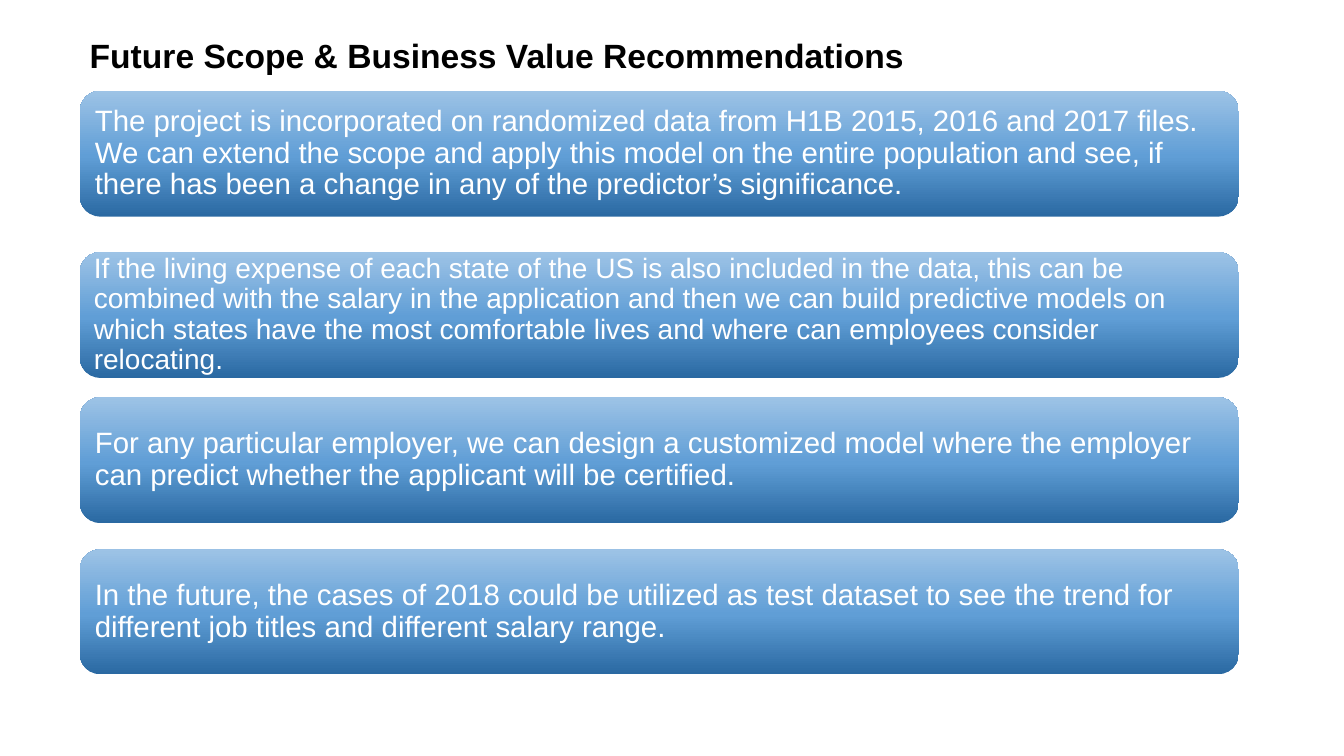
from copy import deepcopy

from pptx import Presentation
from pptx import util as u
from pptx.dml.color import RGBColor
from pptx.enum import shapes, text

COLORS = {"title": "000000", "text": "FFFFFF",
          "dark": "2A69A2", "mid": "609ED6", "light": "9DC3E6"}
GRADIENT = [(0, "dark"), (0.48, "mid"), (1, "light")]
FONT = "Arial"
COLS, ROWS = 160, 90
LEFT, CARD_WIDTH = 9.48, 138

# Top row, height in rows, text size, inset in inches, wording
CARDS = [
    (10.8, 15, 21, 0.09,
     "The project is incorporated on randomized data from H1B 2015, 2016 and 2017 files. "
     "We can extend the scope and apply this model on the entire population and see, if "
     "there has been a change in any of the predictor’s significance."),
    (30, 15, 20, 0.08,
     "If the living expense of each state of the US is also included in the data, this can be "
     "combined with the salary in the application and then we can build predictive models on "
     "which states have the most comfortable lives and where can employees consider relocating."),
    (47.28, 15, 21, 0.09,
     "For any particular employer, we can design a customized model where the employer "
     "can predict whether the applicant will be certified."),
    (65.4, 14.88, 21, 0.09,
     "In the future, the cases of 2018 could be utilized as test dataset to see the trend for "
     "different job titles and different salary range."),
]


class Deck:
    """Holds the style and the current slide."""

    def __init__(self):
        self.prs = Presentation()
        self.prs.slide_width, self.prs.slide_height = u.Inches(13.33), u.Inches(7.5)
        self.s = self.prs.slides.add_slide(self.prs.slide_layouts[5])

    def box(self, col, row, cols, rows):
        w, h = self.prs.slide_width / COLS, self.prs.slide_height / ROWS
        return [u.Emu(round(v)) for v in (col * w, row * h, cols * w, rows * h)]

    def set_text(self, sp, wording, size, color, spacing, bold=False):
        tf = sp.text_frame
        tf.text = wording
        tf.word_wrap = True
        tf.auto_size = text.MSO_AUTO_SIZE.NONE
        tf.vertical_anchor = text.MSO_ANCHOR.MIDDLE
        p = tf.paragraphs[0]
        p.alignment = text.PP_ALIGN.LEFT
        p.line_spacing = spacing
        f = p.runs[0].font
        f.name, f.size, f.bold = FONT, u.Pt(size), bold
        f.color.rgb = RGBColor.from_string(COLORS[color])
        return tf

    def title(self, wording, *place):
        sp = self.s.shapes.title
        sp.left, sp.top, sp.width, sp.height = self.box(*place)
        tf = self.set_text(sp, wording, 24, "title", 1.07, bold=True)
        tf.vertical_anchor = text.MSO_ANCHOR.TOP

    def card(self, top, height, size, inset, wording):
        sp = self.s.shapes.add_shape(shapes.MSO_SHAPE.ROUNDED_RECTANGLE,
                                     *self.box(LEFT, top, CARD_WIDTH, height))
        sp.shadow.inherit = False
        sp.line.fill.background()
        self.shade(sp.fill, sp._element.spPr)
        tf = self.set_text(sp, wording, size, "text", 0.9)
        tf.margin_left = tf.margin_right = u.Inches(inset)
        tf.margin_top = tf.margin_bottom = u.Inches(inset)

    def shade(self, fill, sp_pr):
        fill.gradient()
        fill.gradient_angle = 90
        # The default gradient has two stops; add the middle one
        first = sp_pr.xpath("./a:gradFill/a:gsLst/a:gs")[0]
        first.addnext(deepcopy(first))
        for stop, (position, color) in zip(fill.gradient_stops, GRADIENT):
            stop.position = position
            stop.color.rgb = RGBColor.from_string(COLORS[color])


def main():
    deck = Deck()
    # Heading
    deck.title("Future Scope & Business Value Recommendations", LEFT, 3.24, 116.28, 6.12)
    # Recommendation cards
    for card in CARDS:
        deck.card(*card)
    deck.prs.save("out.pptx")


if __name__ == "__main__":
    main()
